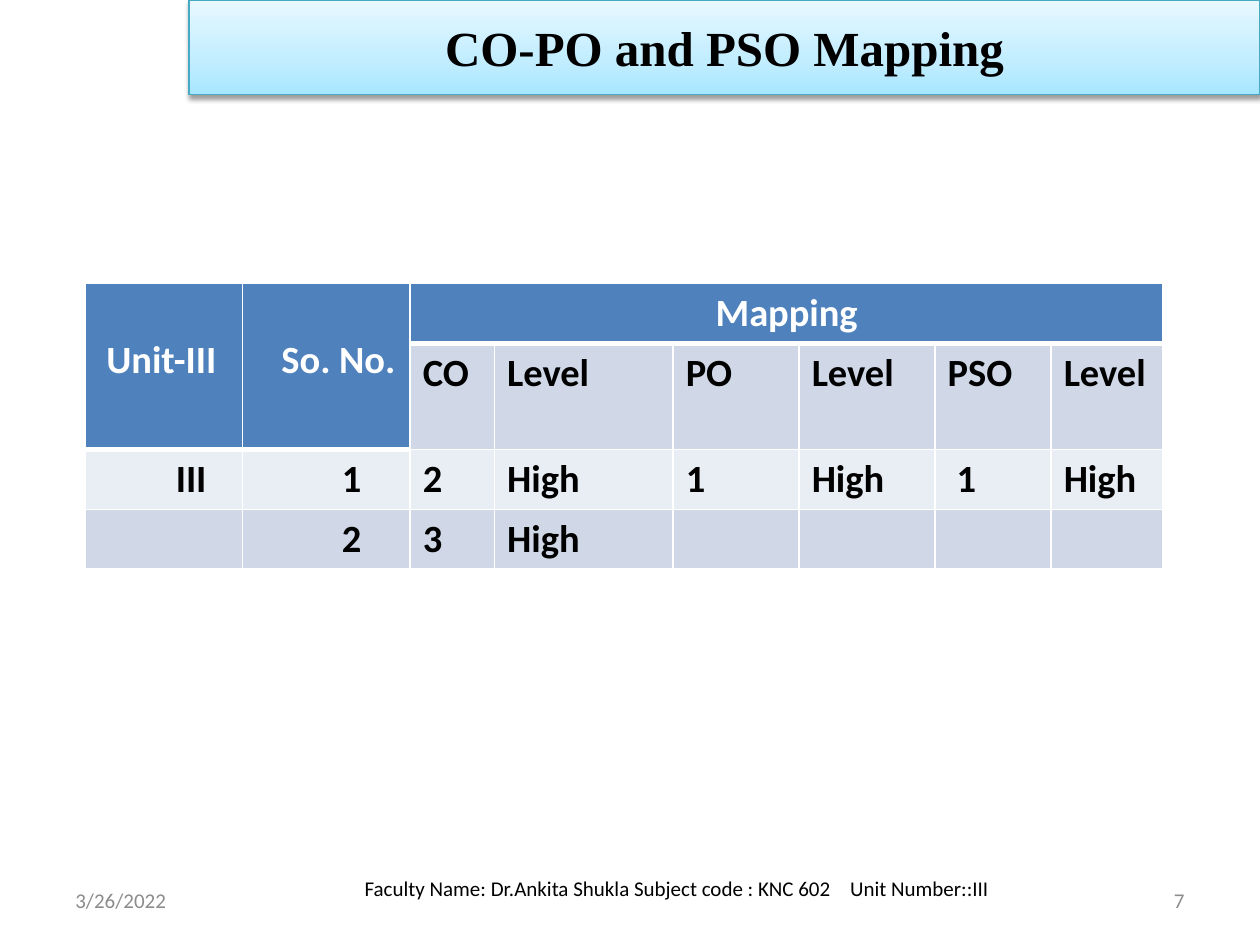
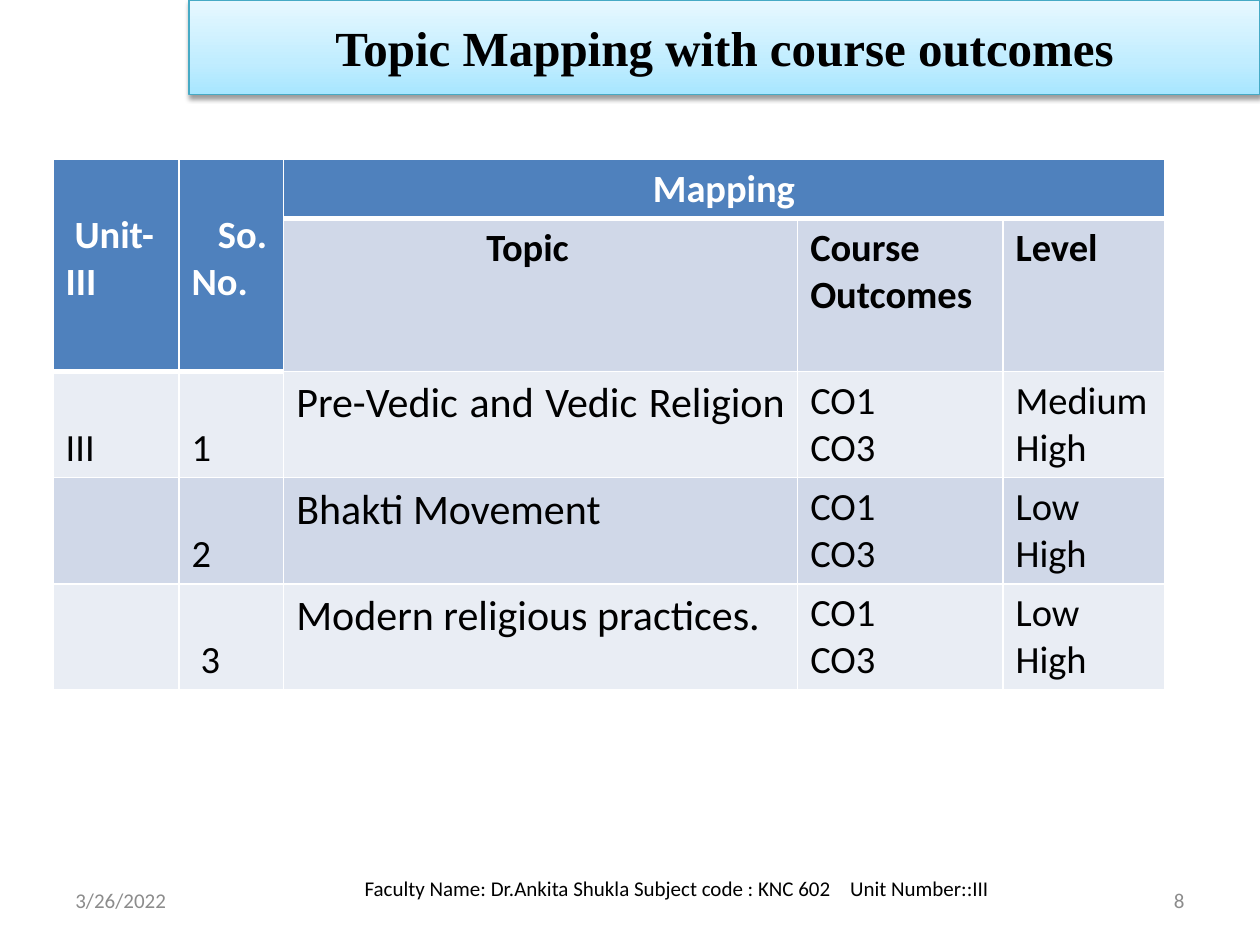
from dataclasses import dataclass

from pptx import Presentation
from pptx.dml.color import RGBColor
from pptx.enum.shapes import MSO_SHAPE
from pptx.enum.text import MSO_ANCHOR, PP_ALIGN
from pptx.oxml import parse_xml
from pptx.oxml.ns import nsdecls, qn
from pptx.slide import Slide
from pptx.table import _Cell
from pptx.text.text import TextFrame
from pptx.util import Cm, Pt

WHITE = RGBColor(0xFF, 0xFF, 0xFF)
BLACK = RGBColor(0x00, 0x00, 0x00)
GREY = RGBColor(0x8C, 0x8C, 0x8C)
BLUE = RGBColor(0x4F, 0x81, 0xBD)
MIST = RGBColor(0xD0, 0xD8, 0xE8)
PALE = RGBColor(0xE9, 0xED, 0xF4)
TEAL = RGBColor(0x46, 0xAA, 0xC5)
GLOW = (
    (0, RGBColor(0xA7, 0xE6, 0xFF)),
    (35, RGBColor(0xC1, 0xED, 0xFF)),
    (100, RGBColor(0xE7, 0xF8, 0xFF)),
)
SANS = "Calibri"
SERIF = "Times New Roman"
THIN, THICK = Pt(1), Pt(3)
DROP = 1.07
DATE = "3/26/2022"
COURSE = "Faculty Name: Dr.Ankita Shukla Subject code : KNC 602"
UNIT = "Unit Number::III"


@dataclass(frozen=True)
class Entry:
    """Text of one cell, with first-line indent and top margin in cm."""

    text: str = ""
    indent: float = 0
    top: float = 0.13
    size: int = 22


@dataclass(frozen=True)
class Grid:
    """A mapping table, with lengths in cm."""

    left: float
    top: float
    cols: tuple[float, ...]
    rows: tuple[float, ...]
    cells: tuple[tuple[Entry, ...], ...]
    bold: bool
    align: PP_ALIGN


@dataclass(frozen=True)
class Page:
    """A titled page with its table."""

    title: str
    number: int
    grid: Grid


def texts(*words: str) -> tuple[Entry, ...]:
    """Return plain entries."""
    return tuple(Entry(word) for word in words)


HEAD = (
    Entry("Unit-III", 0.18, DROP),
    Entry("So. No.", 0.53, DROP),
    Entry("Mapping"),
)


def topic(unit: str, mark: Entry, name: str, level: str) -> tuple[Entry, ...]:
    """Return the row of one topic."""
    return (
        Entry(unit, top=DROP),
        mark,
        Entry(name, size=24),
        Entry("CO1\nCO3"),
        Entry(f"{level}\nHigh"),
    )


PAGES = (
    Page("CO-PO and PSO Mapping", 7, Grid(
        1.71, 5.72,
        (3.18, 3.38, 1.7, 3.6, 2.54, 2.74, 2.34, 2.26),
        (1.2, 2.13, 1.2, 1.2),
        (
            HEAD,
            texts("", "", "CO", "Level", "PO", "Level", "PSO", "Level"),
            (
                Entry("III", 1.58), Entry("1", 1.75),
                *texts("2", "High", "1", "High"),
                Entry("1", 0.18), Entry("High"),
            ),
            (Entry(), Entry("2", 1.75), *texts("3", "High")),
        ),
        True, PP_ALIGN.LEFT,
    )),
    Page("Topic Mapping with course outcomes", 8, Grid(
        1.07, 3.21,
        (2.54, 2.11, 10.36, 4.14, 3.25),
        (1.2, 3.08, 2.14, 2.14, 2.14),
        (
            HEAD,
            (
                Entry(), Entry(), Entry("Topic", 3.83),
                *texts("Course Outcomes", "Level"),
            ),
            topic("III", Entry("1", top=DROP),
                  "Pre-Vedic and Vedic Religion ", "Medium "),
            topic("", Entry("2", top=DROP), "Bhakti Movement", "Low"),
            topic("", Entry("3", 0.18, DROP),
                  "Modern religious practices.", "Low"),
        ),
        False, PP_ALIGN.JUSTIFY,
    )),
)


def style(frame: TextFrame, size: float, color: RGBColor, align: PP_ALIGN,
          bold: bool = False, face: str = SANS) -> None:
    """Format every paragraph and run of a frame."""
    for para in frame.paragraphs:
        para.alignment = align
        for run in para.runs:
            font = run.font
            font.name, font.size, font.bold = face, Pt(size), bold
            font.color.rgb = color


def label(slide: Slide, left: float, top: float, width: float, height: float,
          text: str) -> TextFrame:
    """Add a wrapped text box, centred vertically."""
    frame = slide.shapes.add_textbox(
        Cm(left), Cm(top), Cm(width), Cm(height)).text_frame
    frame.word_wrap = True
    frame.vertical_anchor = MSO_ANCHOR.MIDDLE
    frame.text = text
    return frame


def footer(slide: Slide, number: int) -> None:
    """Draw the date, course line and page number."""
    date = label(slide, 1.27, 17.65, 5.93, 1.01, DATE)
    style(date, 12, GREY, PP_ALIGN.LEFT)
    course = label(slide, 4.65, 17.15, 17.98, 1.52, COURSE)
    para = course.paragraphs[0]
    gap = para.add_run()
    gap.text = " "
    gap._r.get_or_add_rPr().set("spc", "810")
    para.add_run().text = UNIT
    style(course, 12, BLACK, PP_ALIGN.CENTER)
    page = label(slide, 18.2, 17.65, 5.93, 1.01, str(number))
    style(page, 12, GREY, PP_ALIGN.RIGHT)


def band(slide: Slide, title: str) -> None:
    """Draw the glowing title band."""
    shape = slide.shapes.add_shape(
        MSO_SHAPE.RECTANGLE, Cm(3.81), 0, Cm(21.59), Cm(1.91))
    shape.line.color.rgb = TEAL
    shape.line.width = Pt(0.75)
    shape.shadow.inherit = False
    props = shape._element.spPr
    stops = "".join(
        f'<a:gs pos="{pos * 1000}"><a:srgbClr val="{color}"/></a:gs>'
        for pos, color in GLOW)
    props.find(qn("a:prstGeom")).addnext(parse_xml(
        f'<a:gradFill {nsdecls("a")} rotWithShape="1"><a:gsLst>{stops}'
        '</a:gsLst><a:lin ang="16200000" scaled="0"/></a:gradFill>'))
    props.find(qn("a:effectLst")).append(parse_xml(
        f'<a:outerShdw {nsdecls("a")} blurRad="{Pt(3.1)}" dist="{Pt(1.6)}" '
        'dir="5400000" rotWithShape="0"><a:srgbClr val="000000">'
        '<a:alpha val="38000"/></a:srgbClr></a:outerShdw>'))
    frame = shape.text_frame
    frame.vertical_anchor = MSO_ANCHOR.MIDDLE
    frame.text = title
    style(frame, 28, BLACK, PP_ALIGN.CENTER, True, SERIF)


def edge(cell: _Cell, top: int, bottom: int) -> None:
    """Give a cell white borders."""
    props = cell._tc.get_or_add_tcPr()
    for side, width in zip("LRTB", (THIN, THIN, top, bottom)):
        props.append(parse_xml(
            f'<a:ln{side} {nsdecls("a")} w="{width}"><a:solidFill>'
            f'<a:srgbClr val="{WHITE}"/></a:solidFill></a:ln{side}>'))


def write(cell: _Cell, entry: Entry, color: RGBColor, align: PP_ALIGN,
          bold: bool) -> None:
    """Fill a cell with its entry."""
    cell.margin_top = Cm(entry.top)
    cell.text_frame.text = entry.text
    style(cell.text_frame, entry.size, color, align, bold)
    if entry.indent:
        props = cell.text_frame.paragraphs[0]._p.get_or_add_pPr()
        props.set("marL", "0")
        props.set("indent", str(Cm(entry.indent)))


def chart(slide: Slide, grid: Grid) -> None:
    """Draw a mapping table."""
    table = slide.shapes.add_table(
        len(grid.rows), len(grid.cols), Cm(grid.left), Cm(grid.top),
        Cm(sum(grid.cols)), Cm(sum(grid.rows))).table
    table.first_row = table.horz_banding = False
    for col, width in zip(table.columns, grid.cols):
        col.width = Cm(width)
    for row, height in zip(table.rows, grid.rows):
        row.height = Cm(height)
    for r in range(len(grid.rows)):
        for c in range(len(grid.cols)):
            cell = table.cell(r, c)
            depth = 2 if c < 2 else 1
            head = r < depth
            edge(cell, THICK if r == depth else THIN, THICK if head else THIN)
            cell.fill.solid()
            cell.fill.fore_color.rgb = BLUE if head else (PALE, MIST)[r % 2]
    for r, line in enumerate(grid.cells):
        for c, entry in enumerate(line):
            if entry.text:
                align = grid.align if r > 1 else PP_ALIGN.LEFT
                if (r, c) == (0, 2):
                    align = PP_ALIGN.CENTER
                write(table.cell(r, c), entry, BLACK if r else WHITE, align,
                      grid.bold or r < 2)
    for c in range(2):
        table.cell(0, c).merge(table.cell(1, c))
    table.cell(0, 2).merge(table.cell(0, len(grid.cols) - 1))


def main() -> None:
    """Build and save the deck."""
    deck = Presentation()
    deck.slide_width, deck.slide_height = Cm(25.4), Cm(19.05)
    for page in PAGES:
        slide = deck.slides.add_slide(deck.slide_layouts[6])
        chart(slide, page.grid)
        footer(slide, page.number)
        band(slide, page.title)
    deck.save("out.pptx")


if __name__ == "__main__":
    main()
